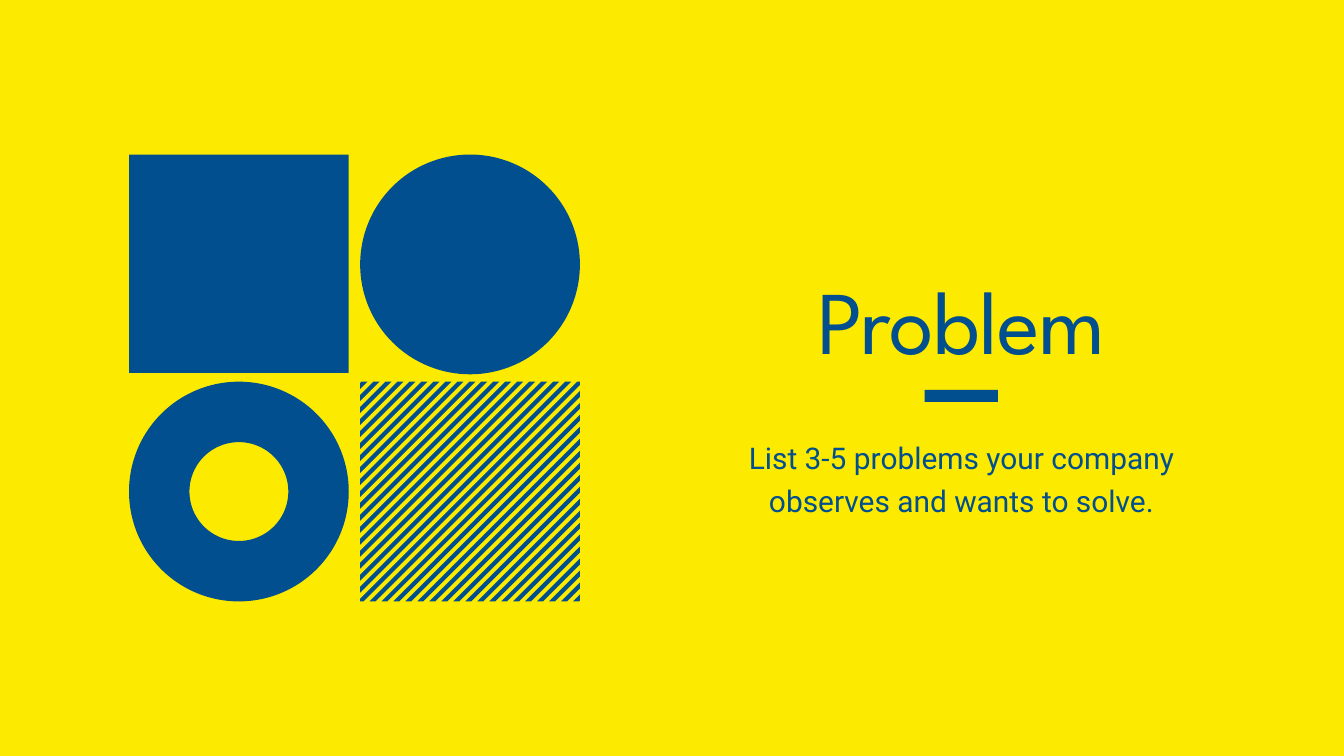
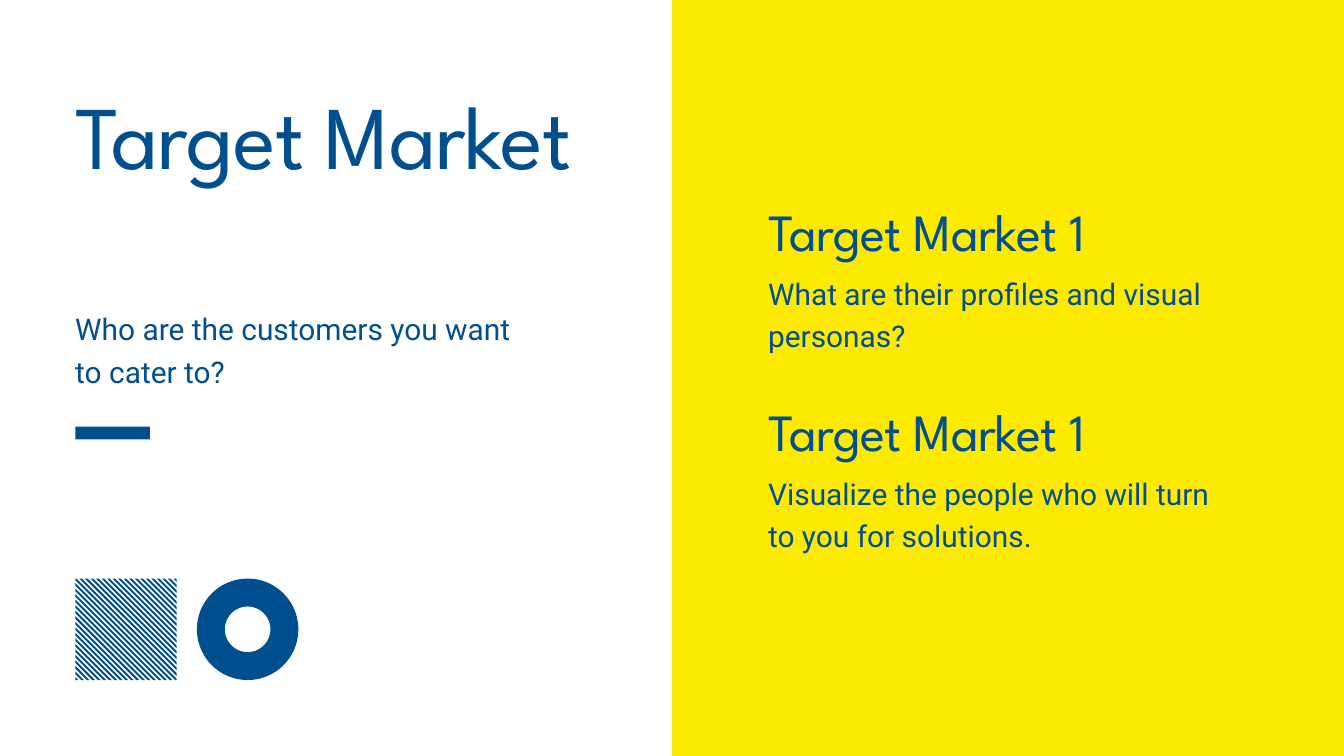
from pptx import Presentation
from pptx.dml.color import RGBColor
from pptx.enum.shapes import MSO_SHAPE
from pptx.enum.text import MSO_AUTO_SIZE, PP_ALIGN
from pptx.util import Inches, Pt

COLORS = {"blue": "014F8E", "yellow": "FCEA00", "white": "FFFFFF"}
STYLES = {
    "title": {"name": "League Spartan", "size": 96, "leading": 124.8, "spacing": -100},
    "heading": {"name": "League Spartan", "size": 56, "leading": 72.8, "spacing": -60},
    "body": {"name": "Roboto", "size": 32, "leading": 45.4, "spacing": 0},
}
STRIPES = 37
RING = 0.275  # ring thickness as a share of the diameter

# Content: style, paragraphs, box (left, top, width, height)
PROBLEM = [
    ("title", ["Problem"], (10.53, 3.81, 7.56, 1.66)),
    ("body", ["List 3-5 problems your company", "observes and wants to solve."],
     (10.53, 6.45, 7.56, 1.22)),
]
MARKET = [
    ("title", ["Target Market"], (1.12, 1.05, 7.73, 3.4)),
    ("body", ["Who are the customers you want", "to cater to?"], (1.12, 4.53, 7.73, 1.23)),
]
SEGMENTS = [
    ("Target Market 1", ["What are their profiles and visual personas?"]),
    ("Target Market 1", ["Visualize the people who will turn", "to you for solutions."]),
]
SEGMENT_LEFT, SEGMENT_TOP, SEGMENT_WIDTH, SEGMENT_STEP = 11.43, 2.89, 7.45, 2.98


def rgb(color):
    return RGBColor.from_string(COLORS[color])


def new_slide(prs, color):
    s = prs.slides.add_slide(prs.slide_layouts[6])
    s.background.fill.solid()
    s.background.fill.fore_color.rgb = rgb(color)
    return s


def paint(sp, color="blue"):
    sp.shadow.inherit = False
    sp.fill.solid()
    sp.fill.fore_color.rgb = rgb(color)
    sp.line.fill.background()
    return sp


def add_block(s, kind, box, color="blue"):
    return paint(s.shapes.add_shape(kind, *map(Inches, box)), color)


def add_ring(s, left, top, side):
    sp = add_block(s, MSO_SHAPE.DONUT, (left, top, side, side))
    sp.adjustments[0] = RING


def add_text(s, style, lines, box, align=PP_ALIGN.LEFT):
    fmt = STYLES[style]
    tf = s.shapes.add_textbox(*map(Inches, box)).text_frame
    for side in ("left", "top", "right", "bottom"):
        setattr(tf, f"margin_{side}", 0)
    tf.word_wrap = True
    tf.auto_size = MSO_AUTO_SIZE.SHAPE_TO_FIT_TEXT
    for i, line in enumerate(lines):
        p = tf.add_paragraph() if i else tf.paragraphs[0]
        p.alignment = align
        p.line_spacing = Pt(fmt["leading"])
        r = p.add_run()
        r.text = line
        for key, value in {"name": fmt["name"], "size": Pt(fmt["size"])}.items():
            setattr(r.font, key, value)
        r.font.color.rgb = rgb("blue")
        if fmt["spacing"]:
            r.font._element.set("spc", str(fmt["spacing"]))


def stripe(near, far, side):
    """Corners of the diagonal band near <= x + y <= far, clipped to a square."""
    def upper(c):
        return min(c, side), max(0, c - side)

    def lower(c):
        return upper(c)[::-1]

    crosses = near < side < far
    return ([upper(near)] + [(side, 0)] * crosses + [upper(far), lower(far)]
            + [(0, side)] * crosses + [lower(near)])


def add_hatch(s, left, top, side, mirrored=False):
    step = 2 * side / (STRIPES - 0.3)
    builder = None
    for k in range(STRIPES):
        near = (k + 0.12) * step
        far = min(near + step / 2, 2 * side)
        points = [(Inches(left + (side - x if mirrored else x)), Inches(top + y))
                  for x, y in stripe(near, far, side)]
        if builder is None:
            builder = s.shapes.build_freeform(*points[0])
        else:
            builder.move_to(*points[0])
        builder.add_line_segments(points[1:], close=True)
    paint(builder.convert_to_shape())


def build_problem(prs):
    s = new_slide(prs, "yellow")
    for style, lines, box in PROBLEM:
        add_text(s, style, lines, box, PP_ALIGN.CENTER)
    add_block(s, MSO_SHAPE.RECTANGLE, (13.76, 5.8, 1.09, 0.18))

    # Two by two grid of figures
    (left, right), (upper, lower), side = (1.92, 5.36), (2.3, 5.68), 3.27
    add_hatch(s, right, lower, side)
    add_block(s, MSO_SHAPE.RECTANGLE, (left, upper, side, side - 0.02))
    add_block(s, MSO_SHAPE.OVAL, (right, upper, side, side))
    add_ring(s, left, lower, side)


def build_market(prs):
    s = new_slide(prs, "white")
    # Figures in the lower left corner
    add_hatch(s, 1.12, 8.61, 1.51, mirrored=True)
    add_ring(s, 2.93, 8.61, 1.51)

    # Left half
    for style, lines, box in MARKET:
        add_text(s, style, lines, box)
    add_block(s, MSO_SHAPE.RECTANGLE, (1.12, 6.35, 1.11, 0.19))

    # Right half
    add_block(s, MSO_SHAPE.RECTANGLE, (10, 0, 10, 11.25), "yellow")
    for i, (heading, lines) in enumerate(SEGMENTS):
        top = SEGMENT_TOP + i * SEGMENT_STEP
        add_text(s, "heading", [heading], (SEGMENT_LEFT, top, SEGMENT_WIDTH, 0.96))
        add_text(s, "body", lines, (SEGMENT_LEFT, top + 1.11, SEGMENT_WIDTH, 1.23))


def main():
    prs = Presentation()
    prs.slide_width, prs.slide_height = Inches(20), Inches(11.25)
    build_problem(prs)
    build_market(prs)
    prs.save("out.pptx")


if __name__ == "__main__":
    main()
